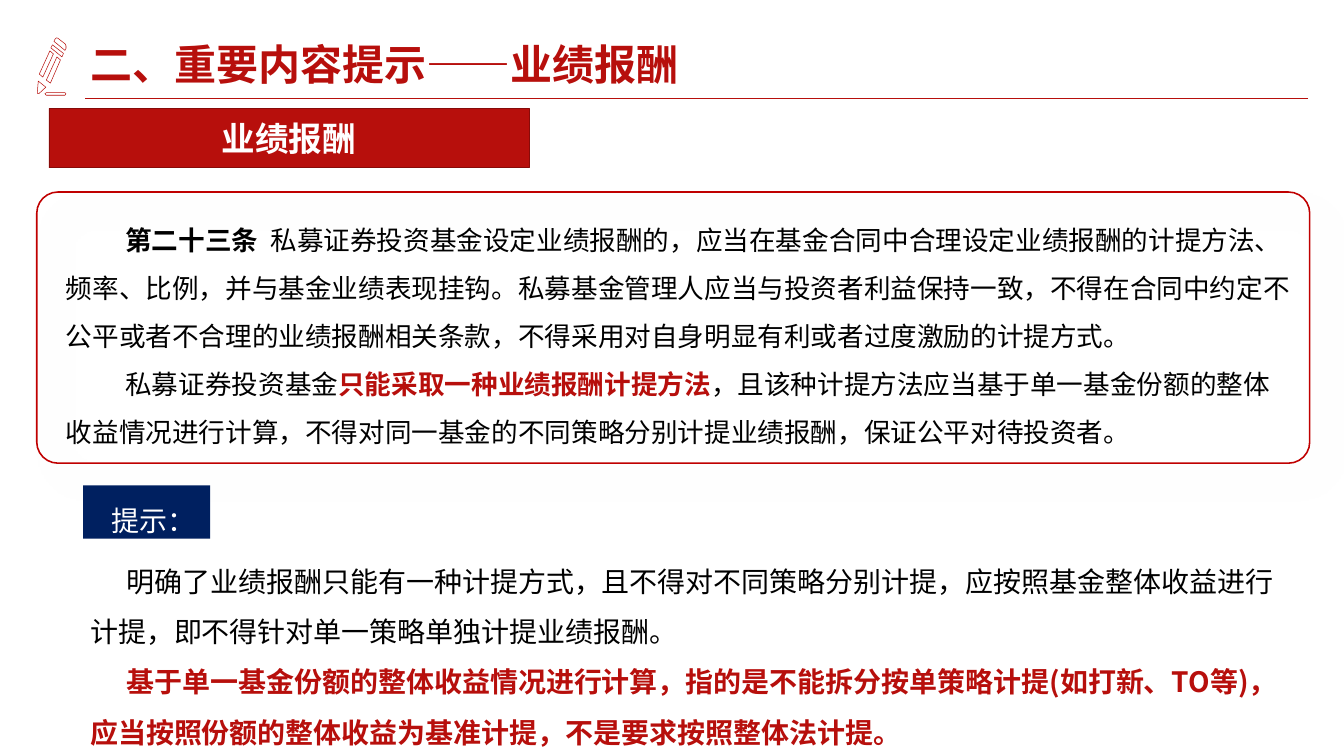
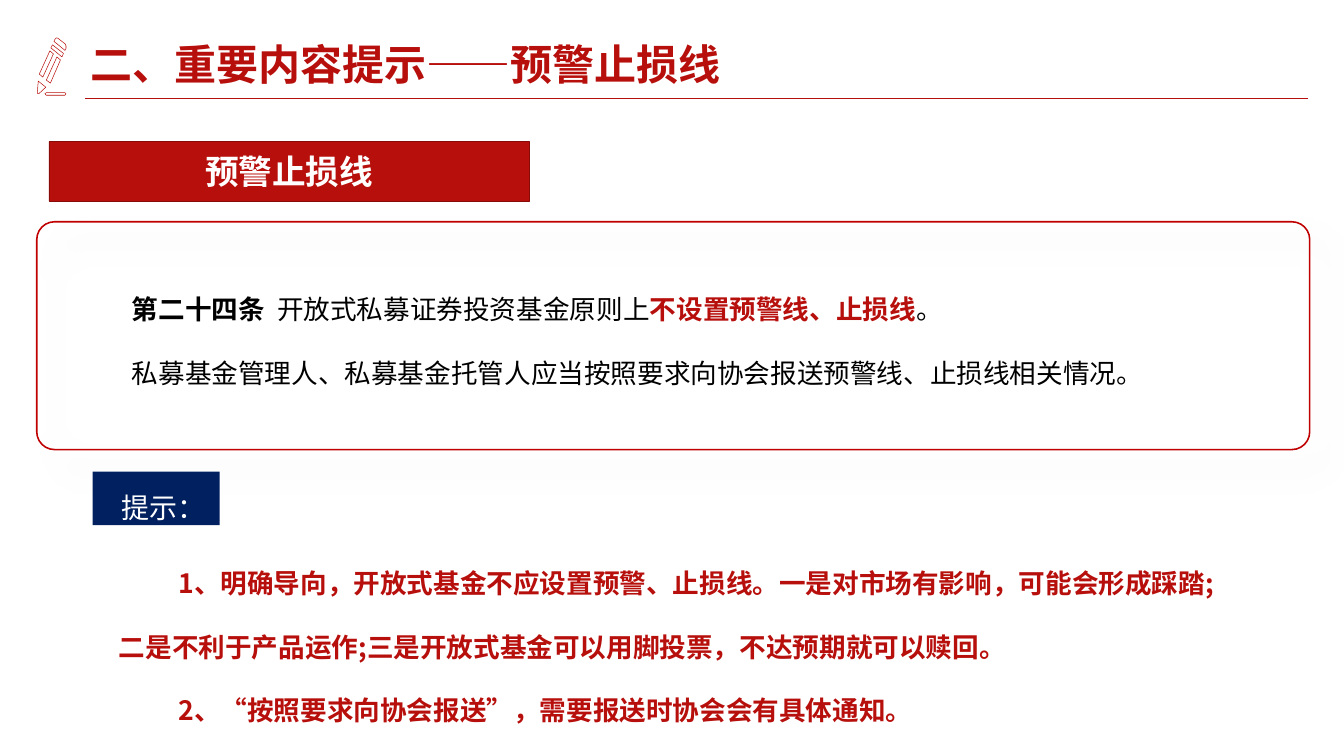
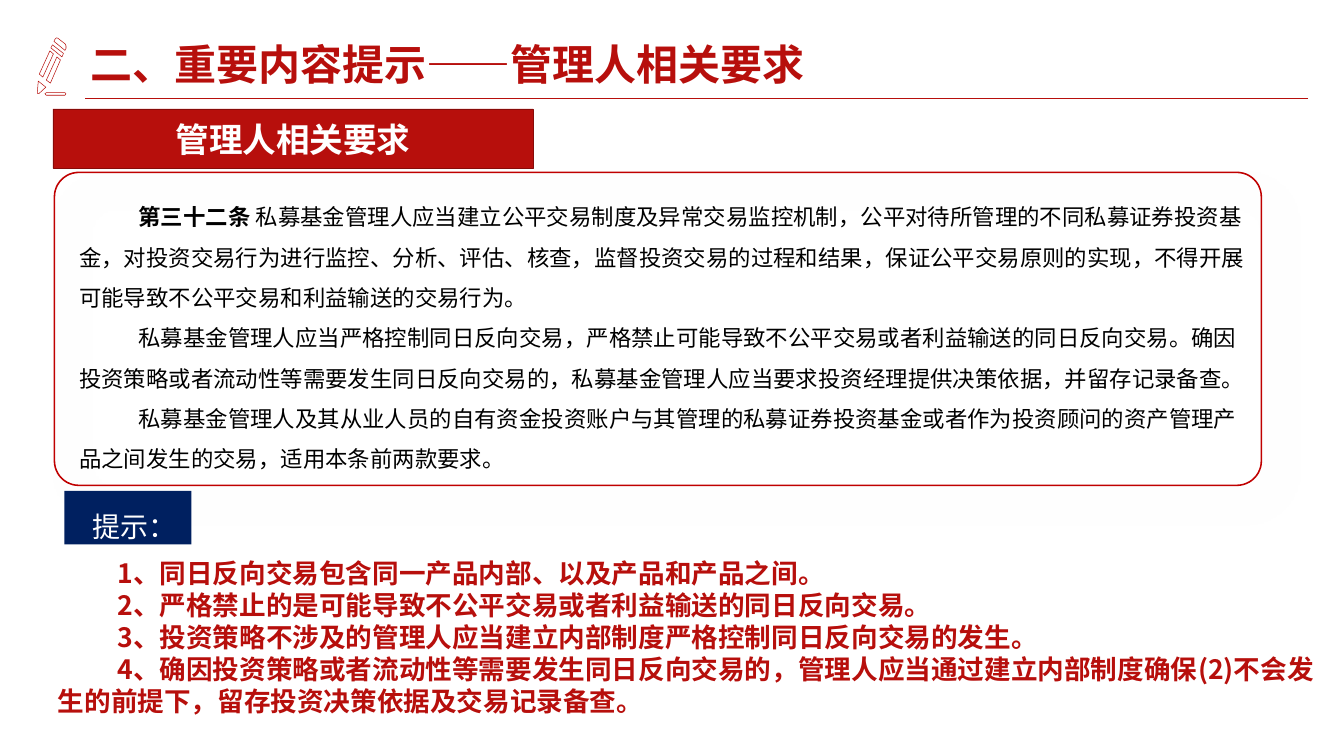
from lxml import etree
from pptx import Presentation, util as u
from pptx.dml.color import RGBColor
from pptx.enum import shapes, text
from pptx.oxml.ns import qn

# Grid of 80 columns by 45 rows with square cells
CELL = u.Inches(1) / 3
SLIDE_SIZE = (u.Inches(26.67), u.Inches(15))
FONT = "Noto Sans CJK SC"
RED, DARK_RED, FRAME_RED = "B70F0C", "870B09", "C00000"
NAVY, BLACK, WHITE = "002060", "000000", "FFFFFF"
INDENT = 3.54

# Run styles
PLAIN = dict(color=BLACK, bold=False)
STRONG = dict(color=BLACK, bold=True)
ALERT = dict(color=RED, bold=True)

# Pencil outlines in hundredths of an inch
PENCIL = [
    [(92, 184), (129, 184), (131, 186), (129, 189), (92, 189), (89, 186)],
    [(92, 159), (113, 113), (120, 119), (100, 165)],
    [(78, 147), (99, 101), (106, 107), (85, 153)],
    [(74, 184), (76, 161), (91, 173), (77, 186), (75, 186)],
    [(104, 89), (101, 95), (123, 113), (126, 106)],
    [(109, 78), (112, 75), (115, 76), (129, 87), (131, 91), (131, 96),
     (129, 100), (107, 82)],
]


def cells(*counts):
    return [round(count * CELL) for count in counts]


def rgb(value):
    return RGBColor.from_string(value)


def paint(shape, fill=None, line=None, width=1):
    shape.shadow.inherit = False
    if fill:
        shape.fill.solid()
        shape.fill.fore_color.rgb = rgb(fill)
    else:
        shape.fill.background()
    if line:
        shape.line.color.rgb = rgb(line)
        shape.line.width = u.Pt(width)
    else:
        shape.line.fill.background()


def write(shape, paragraphs, size=38, spacing=1.0, indent=0, align="LEFT",
          anchor="TOP", grow=False):
    """Fill a shape with paragraphs, each a list of (text, style) runs."""
    frame = shape.text_frame
    frame.word_wrap = True
    frame.vertical_anchor = text.MSO_ANCHOR[anchor]
    if grow:
        frame.auto_size = text.MSO_AUTO_SIZE.SHAPE_TO_FIT_TEXT
    for number, runs in enumerate(paragraphs):
        paragraph = frame.add_paragraph() if number else frame.paragraphs[0]
        paragraph.alignment = text.PP_ALIGN[align]
        paragraph.line_spacing = spacing
        properties = paragraph._p.get_or_add_pPr()
        properties.set("marL", "0")
        properties.set("indent", str(cells(indent)[0]))
        for words, style in runs:
            run = paragraph.add_run()
            run.text = words
            run.font.size = u.Pt(size)
            run.font.bold = style["bold"]
            run.font.color.rgb = rgb(style["color"])
            run.font.name = style.get("font", FONT)
            etree.SubElement(run._r.get_or_add_rPr(), qn("a:ea"), typeface=FONT)


def add_text(slide, box, paragraphs, **layout):
    write(slide.shapes.add_textbox(*cells(*box)), paragraphs, **layout)


def add_pencil(slide):
    first, *others = PENCIL
    builder = slide.shapes.build_freeform(*first[0], scale=u.Inches(0.01))
    builder.add_line_segments(first[1:])
    for outline in others:
        builder.move_to(*outline[0])
        builder.add_line_segments(outline[1:])
    paint(builder.convert_to_shape(), WHITE, RED, 0.75)


def add_rule(slide):
    rule = slide.shapes.add_connector(
        shapes.MSO_CONNECTOR.STRAIGHT, *cells(77.88, 5.85, 5.07, 5.85))
    rule.line.color.rgb = rgb(RED)
    rule.line.width = u.Pt(0.75)
    etree.SubElement(rule._element.spPr, qn("a:effectLst"))


def add_panel(slide, box):
    panel = slide.shapes.add_shape(
        shapes.MSO_SHAPE.ROUNDED_RECTANGLE, *cells(*box))
    panel.adjustments[0] = 0.078
    paint(panel, line=FRAME_RED, width=2.25)
    # Wide, faint shadow towards the lower right
    effects = panel._element.spPr.find(qn("a:effectLst"))
    shadow = etree.SubElement(
        effects, qn("a:outerShdw"), blurRad=str(u.Pt(45)),
        dist=str(u.Pt(38)), dir=str(45 * 60000), algn="tl", rotWithShape="0")
    color = etree.SubElement(shadow, qn("a:srgbClr"), val=BLACK)
    etree.SubElement(color, qn("a:alpha"), val="11000")


def add_label(slide, box, words, fill, line=None, bold=False, **layout):
    label = slide.shapes.add_shape(shapes.MSO_SHAPE.RECTANGLE, *cells(*box))
    paint(label, fill, line)
    style = dict(color=WHITE, bold=bold, font="Arial")
    write(label, [[(words, style)]], anchor="MIDDLE", **layout)


def add_topic_slide(presentation, topic, band_at, panel, article_box, article,
                    article_format, tip_at, tips_box, tips, tips_format):
    slide = presentation.slides.add_slide(presentation.slide_layouts[6])
    # Header
    add_pencil(slide)
    add_rule(slide)
    # Regulation article
    add_panel(slide, panel)
    add_text(slide, article_box, article, grow=True,
             **{"indent": INDENT, **article_format})
    add_label(slide, (*band_at, 28.59, 3.54), topic, RED, DARK_RED, bold=True,
              size=48, align="CENTER")
    add_text(slide, (5.07, 2.1, 69, 3.72),
             [[("二、重要内容提示——", ALERT), (topic, {**ALERT, "font": "Montserrat"})]],
             size=60, spacing=0.9, anchor="MIDDLE")
    # Tips
    add_label(slide, (*tip_at, 7.56, 3.18), "提示：", NAVY,
              size=40, spacing=1.5, indent=1.4)
    add_text(slide, tips_box, tips, grow=True,
             **{"indent": INDENT, **tips_format})


def main():
    presentation = Presentation()
    presentation.slide_width, presentation.slide_height = SLIDE_SIZE

    add_topic_slide(
        presentation, "业绩报酬", band_at=(2.91, 6.45),
        panel=(2.19, 11.43, 75.78, 16.14),
        article_box=(3.63, 12.24, 73.8, 14.7),
        article=[
            [("第二十三条\u00a0", STRONG),
             (" 私募证券投资基金设定业绩报酬的，应当在基金合同中合理设定业绩报酬的计提方法、频率、比例，"
              "并与基金业绩表现挂钩。私募基金管理人应当与投资者利益保持一致，不得在合同中约定不公平或者"
              "不合理的业绩报酬相关条款，不得采用对自身明显有利或者过度激励的计提方式。", PLAIN)],
            [("私募证券投资基金", PLAIN), ("只能采取一种业绩报酬计提方法", ALERT),
             ("，且该种计提方法应当基于单一基金份额的整体收益情况进行计算，不得对同一基金的不同策略"
              "分别计提业绩报酬，保证公平对待投资者。", PLAIN)],
        ],
        article_format=dict(spacing=1.5),
        tip_at=(4.95, 28.89), tips_box=(5.07, 32.43, 71.31, 12.06),
        tips=[
            [("明确了业绩报酬只能有一种计提方式，且不得对不同策略分别计提，应按照基金整体收益进行计提，"
              "即不得针对单一策略单独计提业绩报酬。", PLAIN)],
            [("基于单一基金份额的整体收益情况进行计算，指的是不能拆分按单策略计提(如打新、TO等)，"
              "应当按照份额的整体收益为基准计提，不是要求按照整体法计提。", ALERT)],
        ],
        tips_format=dict(size=40, spacing=1.5, indent=2.17))

    add_topic_slide(
        presentation, "预警止损线", band_at=(2.91, 8.43),
        panel=(2.19, 13.2, 75.78, 13.56),
        article_box=(4.02, 15.39, 73.8, 7.98),
        article=[
            [("第二十四条\u00a0 ", STRONG), ("开放式私募证券投资基金原则上", PLAIN),
             ("不设置预警线、止损线", ALERT), ("。", PLAIN)],
            [("私募基金管理人、私募基金托管人应当按照要求向协会报送预警线、止损线相关情况。", PLAIN)],
        ],
        article_format=dict(spacing=2.0),
        tip_at=(5.52, 28.08), tips_box=(6.78, 31.68, 66.45, 11.25),
        tips=[
            [("1、明确导向，开放式基金不应设置预警、止损线。一是对市场有影响，可能会形成踩踏;"
              "二是不利于产品运作;三是开放式基金可以用脚投票，不达预期就可以赎回。", ALERT)],
            [("2、“按照要求向协会报送”，需要报送时协会会有具体通知。", ALERT)],
        ],
        tips_format=dict(spacing=2.0))

    add_topic_slide(
        presentation, "管理人相关要求", band_at=(3.15, 6.48),
        panel=(3.24, 10.26, 71.85, 18.63),
        article_box=(4.41, 11.16, 70.68, 17.28),
        article=[
            [("第三十二条\u00a0", STRONG),
             ("私募基金管理人应当建立公平交易制度及异常交易监控机制，公平对待所管理的不同私募证券投资基金，"
              "对投资交易行为进行监控、分析、评估、核查，监督投资交易的过程和结果，保证公平交易原则的实现，"
              "不得开展可能导致不公平交易和利益输送的交易行为。", PLAIN)],
            [("私募基金管理人应当严格控制同日反向交易，严格禁止可能导致不公平交易或者利益输送的同日反向交易。"
              "确因投资策略或者流动性等需要发生同日反向交易的，私募基金管理人应当要求投资经理提供决策依据，"
              "并留存记录备查。", PLAIN)],
            [("私募基金管理人及其从业人员的自有资金投资账户与其管理的私募证券投资基金或者作为投资顾问的"
              "资产管理产品之间发生的交易，适用本条前两款要求。", PLAIN)],
        ],
        article_format=dict(size=32, spacing=1.5),
        tip_at=(3.84, 29.22), tips_box=(3.15, 33.03, 75.84, 9.9),
        tips=[
            [("1、同日反向交易包含同一产品内部、以及产品和产品之间。", ALERT)],
            [("2、严格禁止的是可能导致不公平交易或者利益输送的同日反向交易。", ALERT)],
            [("3、投资策略不涉及的管理人应当建立内部制度严格控制同日反向交易的发生。", ALERT)],
            [("4、确因投资策略或者流动性等需要发生同日反向交易的，管理人应当通过建立内部制度确保(2)不会"
              "发生的前提下，留存投资决策依据及交易记录备查。", ALERT)],
        ],
        tips_format={})

    presentation.save("out.pptx")


if __name__ == "__main__":
    main()
